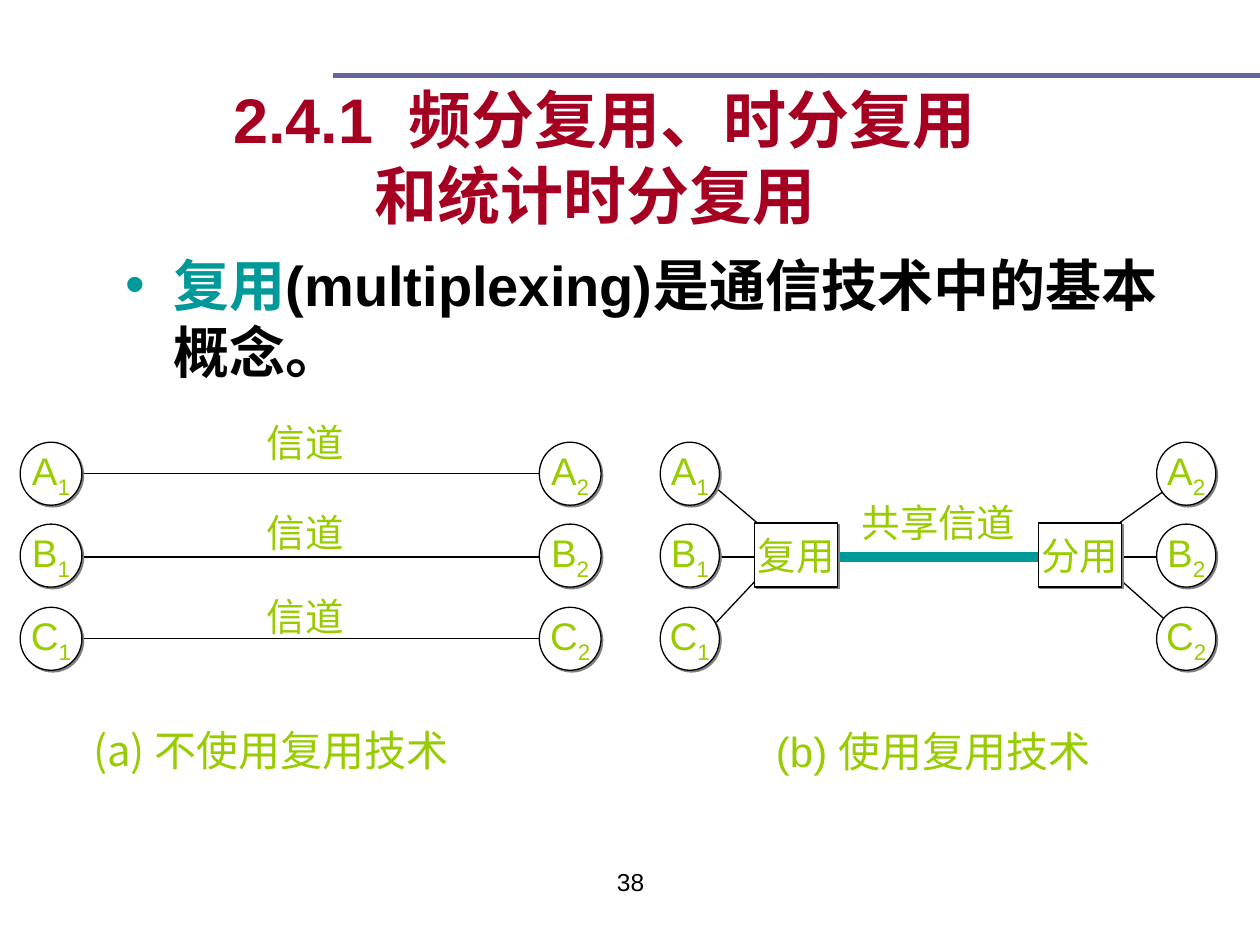
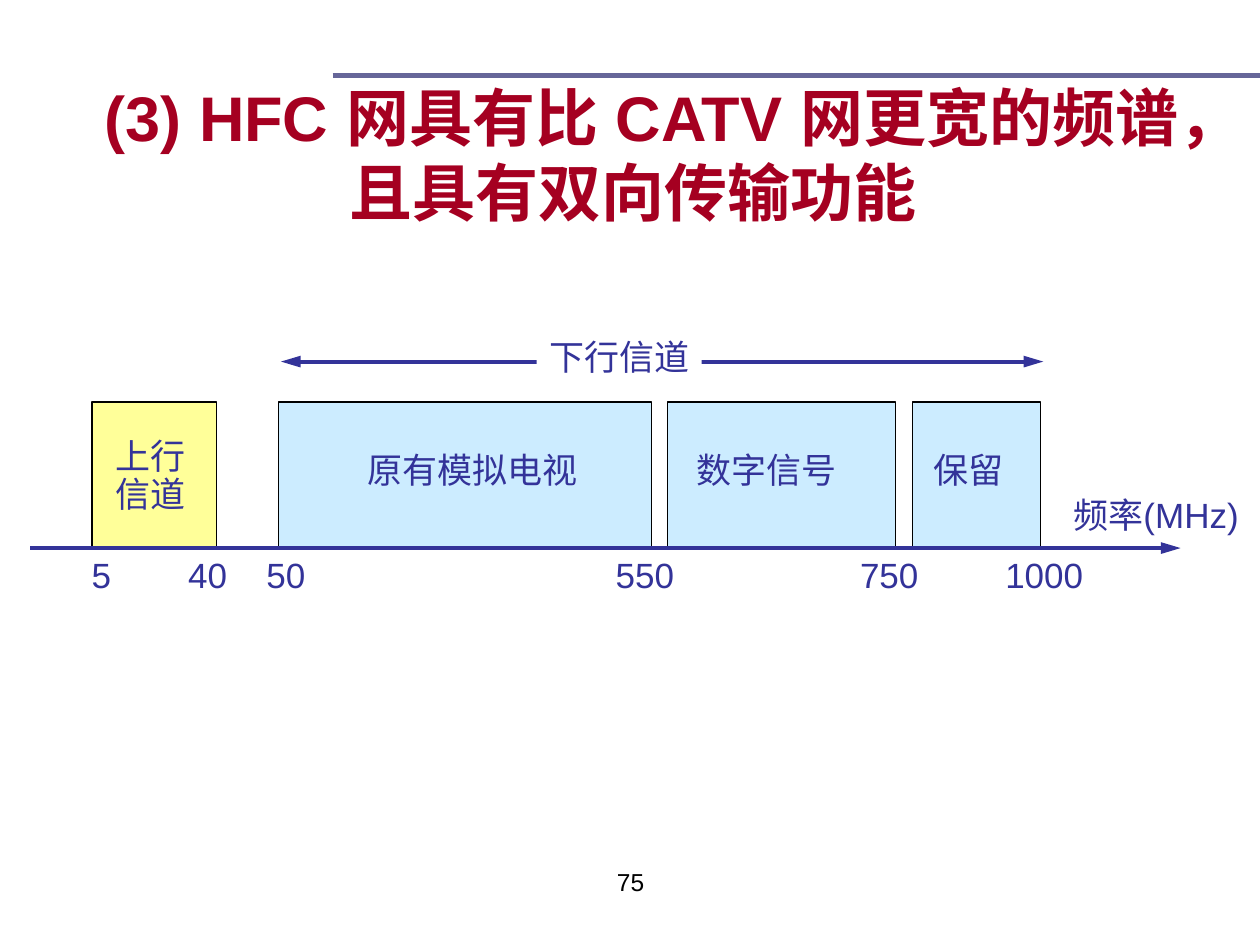
from dataclasses import dataclass
from typing import Optional

from lxml.etree import SubElement
from pptx import Presentation
from pptx.dml.color import RGBColor
from pptx.enum.shapes import MSO_CONNECTOR, MSO_SHAPE
from pptx.enum.text import MSO_ANCHOR, MSO_AUTO_SIZE, PP_ALIGN
from pptx.oxml.ns import qn
from pptx.util import Inches, Pt

BLACK = RGBColor(0, 0, 0)
WHITE = RGBColor(0xFF, 0xFF, 0xFF)
SLATE = RGBColor(0x66, 0x66, 0x99)
RED = RGBColor(0xA5, 0x00, 0x21)
TEAL = RGBColor(0x00, 0x99, 0x99)
LIME = RGBColor(0x99, 0xCC, 0x00)
NAVY = RGBColor(0x33, 0x33, 0x99)
YELLOW = RGBColor(0xFF, 0xFF, 0x99)
SKY = RGBColor(0xCC, 0xEC, 0xFF)
ARIAL = "Arial"
NOTO = "Noto Sans CJK SC"


@dataclass(frozen=True)
class Box:
    x: float
    y: float
    w: float
    h: float

    def place(self) -> tuple:
        return Inches(self.x), Inches(self.y), Inches(self.w), Inches(self.h)


@dataclass(frozen=True)
class Style:
    size: float
    color: RGBColor
    face: str = ARIAL
    bold: bool = False


@dataclass(frozen=True)
class Label:
    text: str
    box: Box
    style: Style
    space: Optional[float] = None


@dataclass(frozen=True)
class Line:
    x1: float
    y1: float
    x2: float
    y2: float
    color: RGBColor = BLACK
    width: float = 0.75
    ends: tuple = ()


@dataclass(frozen=True)
class Band:
    x: float
    w: float
    fill: RGBColor


HEAD = Style(36, RED, bold=True)
POINT = Style(32, BLACK, bold=True)
NODE = Style(22, LIME)
LINK = Style(22, LIME, NOTO)
FREQ = Style(20, NAVY)
FOOT = Style(14, BLACK)


# Shared helpers
def set_font(para, style: Style) -> None:
    font = para.font
    font.size, font.bold, font.name = Pt(style.size), style.bold, style.face
    font.color.rgb = style.color
    SubElement(font._element, qn("a:ea")).set("typeface", style.face)


def add_line(slide, line: Line) -> None:
    shape = slide.shapes.add_connector(
        MSO_CONNECTOR.STRAIGHT, Inches(line.x1), Inches(line.y1),
        Inches(line.x2), Inches(line.y2))
    shape.line.color.rgb = line.color
    shape.line.width = Pt(line.width)
    for end in line.ends:
        SubElement(shape.line._get_or_add_ln(), qn(f"a:{end}"),
                   type="triangle", w="med", len="lg")
    SubElement(shape._element.spPr, qn("a:effectLst"))


def add_label(slide, label: Label, wrap: bool = False):
    shape = slide.shapes.add_textbox(*label.box.place())
    frame = shape.text_frame
    frame.word_wrap = wrap
    frame.auto_size = MSO_AUTO_SIZE.NONE if wrap else MSO_AUTO_SIZE.SHAPE_TO_FIT_TEXT
    frame.text = label.text
    for para in frame.paragraphs:
        set_font(para, label.style)
        if label.space:
            para.line_spacing = label.space
    return shape


def add_block(slide, kind: MSO_SHAPE, box: Box, fill: RGBColor):
    shape = slide.shapes.add_shape(kind, *box.place())
    shape.shadow.inherit = False
    shape.fill.solid()
    shape.fill.fore_color.rgb = fill
    shape.line.color.rgb = BLACK
    shape.line.width = Pt(0.75)
    return shape


def add_node(slide, kind: MSO_SHAPE, box: Box, text: str, sub: str = "") -> None:
    shape = add_block(slide, kind, box, WHITE)
    # Hard grey shadow to the lower right
    shade = SubElement(shape._element.spPr.find(qn("a:effectLst")), qn("a:outerShdw"),
                       dist=str(Pt(1.4)), dir="2700000", algn="ctr", rotWithShape="0")
    SubElement(shade, qn("a:srgbClr")).set("val", "808080")
    frame = shape.text_frame
    frame.word_wrap = False
    frame.vertical_anchor = MSO_ANCHOR.MIDDLE
    para = frame.paragraphs[0]
    para.alignment = PP_ALIGN.CENTER
    set_font(para, NODE)
    para.add_run().text = text
    if sub:
        run = para.add_run()
        run.text = sub
        run.font._element.set("baseline", "-25000")


def add_page(deck, title: str, box: Box, number: int):
    slide = deck.slides.add_slide(deck.slide_layouts[5])
    add_line(slide, Line(2.64, 0.6, 10, 0.6, SLATE, 3))
    head = slide.shapes.title
    head.left, head.top, head.width, head.height = box.place()
    frame = head.text_frame
    frame.text = title
    frame.word_wrap = True
    frame.auto_size = MSO_AUTO_SIZE.NONE
    frame.vertical_anchor = MSO_ANCHOR.BOTTOM
    para = frame.paragraphs[0]
    para.alignment = PP_ALIGN.CENTER
    set_font(para, HEAD)
    foot = add_label(slide, Label(str(number), Box(3.42, 6.83, 3.17, 0.52), FOOT), True)
    foot.text_frame.paragraphs[0].alignment = PP_ALIGN.CENTER
    return slide


# Slide 1: channels with and without multiplexing
ROWS = (("A", 3.51), ("B", 4.16), ("C", 4.82))


def add_ends(slide, left: float, right: float, width: float) -> None:
    for name, top in ROWS:
        for sub, x in (("1", left), ("2", right)):
            add_node(slide, MSO_SHAPE.OVAL, Box(x, top, width, 0.5), name, sub)


def add_point(slide) -> None:
    shape = add_label(slide, Label("", Box(0.9, 1.94, 8.74, 1.3), POINT), True)
    para = shape.text_frame.paragraphs[0]
    para.space_before = Pt(8)
    term = para.add_run()
    term.text = "复用"
    term.font.color.rgb = TEAL
    para.add_run().text = "(multiplexing)是通信技术中的基本概念。"
    props = para._p.get_or_add_pPr()
    props.set("marL", str(Inches(0.38)))
    props.set("indent", str(-Inches(0.38)))
    # Bullet parts come before the default font
    font = props.find(qn("a:defRPr"))
    color = SubElement(props, qn("a:buClr"))
    SubElement(color, qn("a:srgbClr")).set("val", str(TEAL))
    face = SubElement(props, qn("a:buFont"), typeface=ARIAL)
    mark = SubElement(props, qn("a:buChar"), char="•")
    for part in (color, face, mark):
        font.addprevious(part)


def build_mux(deck) -> None:
    slide = add_page(deck, "2.4.1  频分复用、时分复用\v和统计时分复用 ",
                     Box(0.2, 0.68, 9.19, 1.21), 38)
    add_point(slide)

    # (a) One channel for each pair
    for y in (3.76, 4.42, 5.07):
        add_line(slide, Line(0.65, y, 4.37, y))
    for y in (3.28, 3.99, 4.66):
        add_label(slide, Label("信道", Box(2.02, y, 0.81, 0.47), LINK))
    add_ends(slide, 0.16, 4.28, 0.49)

    # (b) One shared channel
    add_line(slide, Line(5.7, 4.42, 9.27, 4.42))
    add_line(slide, Line(6.55, 4.42, 8.24, 4.42, TEAL, 6))
    for outer, inner in ((5.61, 6.08), (9.36, 8.8)):
        add_line(slide, Line(outer, 3.81, inner, 4.21))
        add_line(slide, Line(outer, 5.02, inner, 4.52))
    add_ends(slide, 5.24, 9.18, 0.47)
    for text, x in (("复用", 5.99), ("分用", 8.24)):
        add_node(slide, MSO_SHAPE.RECTANGLE, Box(x, 4.15, 0.66, 0.51), text)

    for label in (
        Label("共享信道", Box(6.74, 3.91, 1.42, 0.47), NODE),
        Label("(a) 不使用复用技术", Box(0.64, 5.7, 3.41, 0.5), Style(24, LIME, NOTO)),
        Label("(b) 使用复用技术", Box(6.06, 5.71, 2.78, 0.5), Style(24, LIME)),
    ):
        add_label(slide, label)


# Slide 2: spectrum of an HFC network
BANDS = (Band(0.73, 0.99, YELLOW), Band(2.21, 2.96, SKY),
         Band(5.3, 1.81, SKY), Band(7.24, 1.02, SKY))
TICKS = (("40", 0.92), ("50", 1.54), ("550", 4.39), ("750", 6.33), ("1000", 7.56))


def add_ticks(slide) -> None:
    text = "\t".join(["5", *(name for name, _ in TICKS)])
    shape = add_label(slide, Label(text, Box(0.63, 4.34, 8.4, 0.44), FREQ), True)
    props = shape.text_frame.paragraphs[0]._p.get_or_add_pPr()
    stops = SubElement(props, qn("a:tabLst"))
    for _, x in TICKS:
        SubElement(stops, qn("a:tab"), pos=str(Inches(x)), algn="ctr")
    props.find(qn("a:defRPr")).addprevious(stops)


def build_band(deck) -> None:
    slide = add_page(deck, "(3) HFC 网具有比 CATV 网更宽的频谱，且具有双向传输功能 ",
                     Box(0.59, 0.68, 9, 1.19), 75)
    # Downstream span, broken by its label
    add_line(slide, Line(2.23, 2.87, 8.28, 2.87, NAVY, 2.25, ("headEnd", "tailEnd")))
    down = add_label(slide, Label("下行信道", Box(4.26, 2.61, 1.31, 0.44), FREQ))
    down.fill.solid()
    down.fill.fore_color.rgb = WHITE

    # Bands and their names
    for band in BANDS:
        add_block(slide, MSO_SHAPE.RECTANGLE, Box(band.x, 3.19, band.w, 1.16), band.fill)
    for label in (
        Label("上行\n信道", Box(0.82, 3.44, 0.8, 0.7), FREQ, 0.9),
        Label("原有模拟电视", Box(2.82, 3.51, 1.9, 0.44), FREQ),
        Label("数字信号", Box(5.43, 3.51, 1.35, 0.44), FREQ),
        Label("保留", Box(7.31, 3.51, 0.8, 0.44), FREQ),
        Label("频率(MHz)", Box(8.42, 3.87, 1.58, 0.44), FREQ),
    ):
        add_label(slide, label)

    # Axis
    add_line(slide, Line(0.24, 4.35, 9.37, 4.35, NAVY, 2.25, ("tailEnd",)))
    add_ticks(slide)


def main() -> None:
    deck = Presentation()
    deck.slide_width, deck.slide_height = Inches(10), Inches(7.5)
    build_mux(deck)
    build_band(deck)
    deck.save("out.pptx")


if __name__ == "__main__":
    main()
